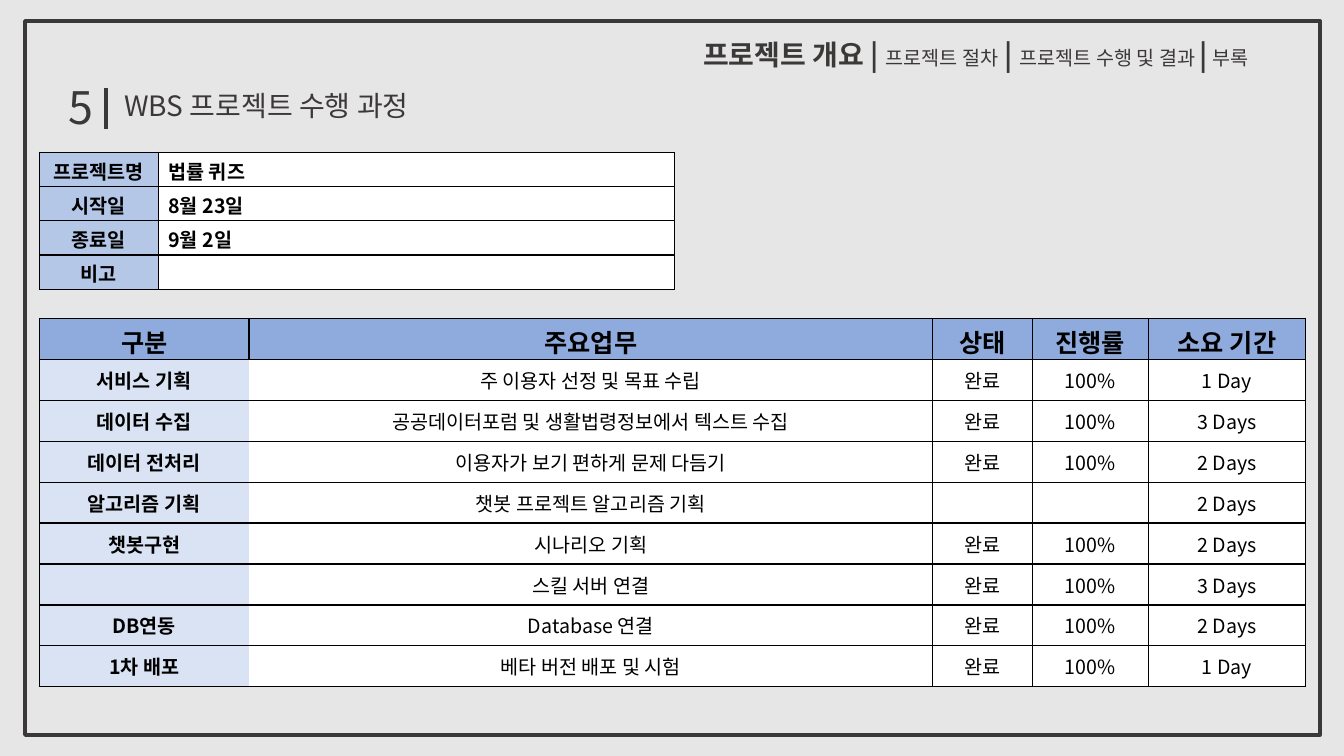
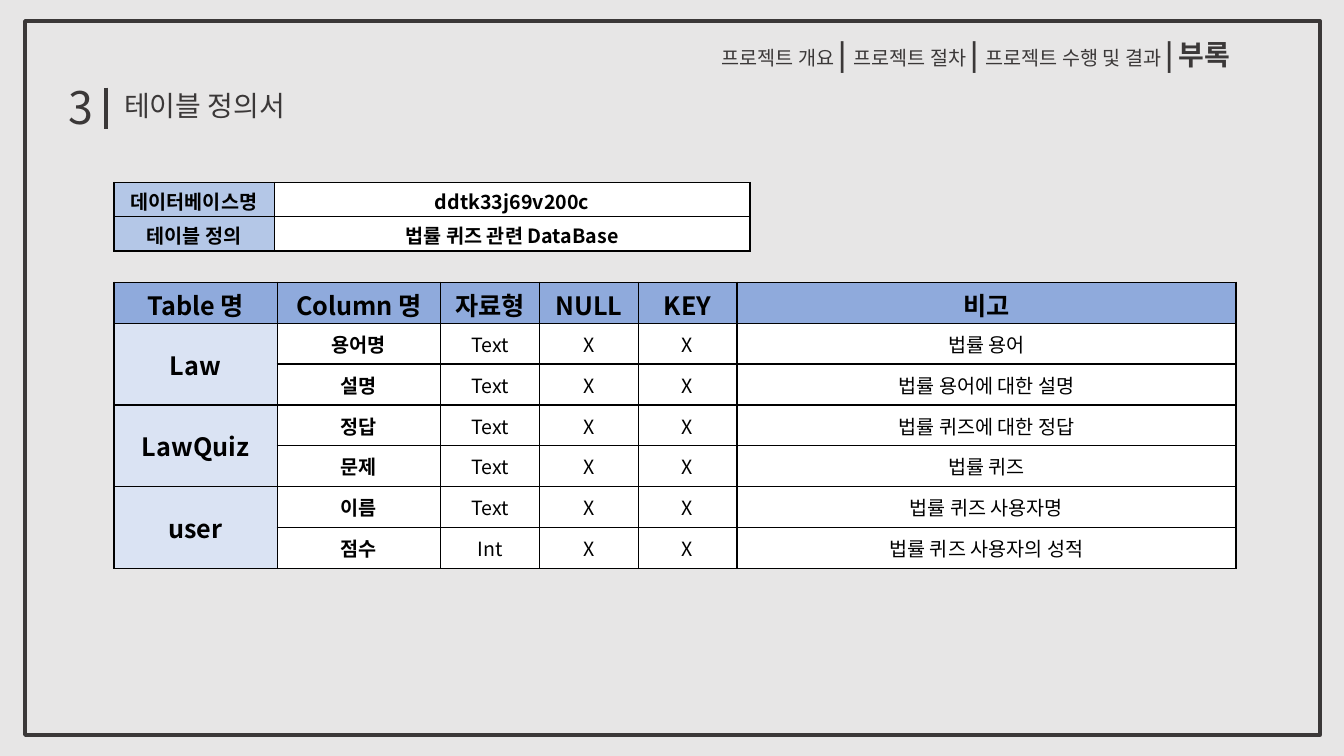
from lxml import etree
from pptx import Presentation
from pptx.dml.color import RGBColor
from pptx.enum.shapes import MSO_CONNECTOR, MSO_SHAPE
from pptx.enum.text import MSO_ANCHOR, MSO_AUTO_SIZE, PP_ALIGN
from pptx.oxml.ns import qn
from pptx.util import Inches, Pt

LEFT, CENTER = PP_ALIGN.LEFT, PP_ALIGN.CENTER
TOP, MIDDLE = MSO_ANCHOR.TOP, MSO_ANCHOR.MIDDLE
RECTANGLE, STRAIGHT = MSO_SHAPE.RECTANGLE, MSO_CONNECTOR.STRAIGHT
NO_AUTOFIT = MSO_AUTO_SIZE.NONE
TITLE_ONLY = 5

# Shared style
FONT = "Noto Sans CJK KR"
PAPER, INK, BLACK, WHITE = "E7E6E6", "3B3838", "000000", "FFFFFF"
HEADER_BLUE, LABEL_BLUE, GROUP_BLUE = "8FAADC", "B4C7E7", "DAE3F3"
LARGE, SMALL = 20, 14
INFO_ROW, WORK_ROW = 0.34, 0.406

# Content: navigation is (text, emphasised); None in a table joins the cell above
DONE = ("완료", "100%")
PAGES = [
    {
        "number": "5",
        "title": "WBS 프로젝트 수행 과정",
        "navigation": [
            ("프로젝트 개요 | ", True), ("프로젝트 절차", False), (" | ", True),
            ("프로젝트 수행 및 결과 ", False), ("|", True), (" 부록", False), (" ", True),
        ],
        "info": {
            "at": (0.39, 1.51), "columns": (1.18, 5.12), "value_align": LEFT,
            "rows": [("프로젝트명", "법률 퀴즈"), ("시작일", "8월 23일"),
                     ("종료일", "9월 2일"), ("비고", "")],
        },
        "main": {
            "at": (0.39, 3.16), "columns": (2.08, 6.78, 0.99, 1.15, 1.56),
            "bold_columns": 1, "group_size": SMALL, "open_group": True,
            "rows": [
                ("구분", "주요업무", "상태", "진행률", "소요 기간"),
                ("서비스 기획", "주 이용자 선정 및 목표 수립", *DONE, "1 Day"),
                ("데이터 수집", "공공데이터포럼 및 생활법령정보에서 텍스트 수집", *DONE, "3 Days"),
                ("데이터 전처리", "이용자가 보기 편하게 문제 다듬기", *DONE, "2 Days"),
                ("알고리즘 기획", "챗봇 프로젝트 알고리즘 기획", "", "", "2 Days"),
                ("챗봇구현", "시나리오 기획", *DONE, "2 Days"),
                ("", "스킬 서버 연결", *DONE, "3 Days"),
                ("DB연동", "Database 연결", *DONE, "2 Days"),
                ("1차 배포", "베타 버전 배포 및 시험", *DONE, "1 Day"),
            ],
        },
    },
    {
        "number": "3",
        "title": "테이블 정의서",
        "navigation": [
            ("프로젝트 개요 ", False), ("| ", True), ("프로젝트 절차 ", False), ("| ", True),
            ("프로젝트 수행 및 결과 ", False), ("|", True), (" ", False), ("부록 ", True),
        ],
        "info": {
            "at": (1.13, 1.81), "columns": (1.59, 4.72), "value_align": CENTER,
            "rows": [("데이터베이스명", "ddtk33j69v200c"),
                     ("테이블 정의", "법률 퀴즈 관련 DataBase")],
        },
        "main": {
            "at": (1.13, 2.8), "columns": (1.62, 1.62, 0.98, 0.98, 0.98, 4.95),
            "bold_columns": 2, "group_size": 18, "open_group": False,
            "rows": [
                ("Table 명", "Column 명", "자료형", "NULL", "KEY", "비고"),
                ("Law", "용어명", "Text", "X", "X", "법률 용어"),
                (None, "설명", "Text", "X", "X", "법률 용어에 대한 설명"),
                ("LawQuiz", "정답", "Text", "X", "X", "법률 퀴즈에 대한 정답"),
                (None, "문제", "Text", "X", "X", "법률 퀴즈"),
                ("user", "이름", "Text", "X", "X", "법률 퀴즈 사용자명"),
                (None, "점수", "Int", "X", "X", "법률 퀴즈 사용자의 성적"),
            ],
        },
    },
]


def rgb(value):
    return RGBColor.from_string(value)


# Text
def style(para, size, color=INK, bold=False, align=LEFT):
    para.alignment = align
    font = para.font
    font.size, font.bold, font.name = Pt(size), bold, FONT
    font.color.rgb = rgb(color)
    properties = para._p.get_or_add_pPr().find(qn("a:defRPr"))
    etree.SubElement(properties, qn("a:ea"), typeface=FONT)


def place(box, left, top, width, height):
    box.left, box.top = Inches(left), Inches(top)
    box.width, box.height = Inches(width), Inches(height)
    frame = box.text_frame
    frame.word_wrap, frame.auto_size = True, NO_AUTOFIT
    frame.vertical_anchor = MIDDLE
    return frame.paragraphs[0]


def add_text(page, *area):
    return place(page.shapes.add_textbox(0, 0, 0, 0), *area)


# Tables
def set_borders(cell, hidden=""):
    properties = cell._tc.get_or_add_tcPr()
    for side in "LRTB":
        line = etree.SubElement(properties, qn(f"a:ln{side}"), w=str(Pt(1)))
        if side in hidden:
            etree.SubElement(line, qn("a:noFill"))
        else:
            fill = etree.SubElement(line, qn("a:solidFill"))
            etree.SubElement(fill, qn("a:srgbClr"), val=BLACK)


def add_grid(page, data, row_height):
    rows, columns = data["rows"], data["columns"]
    left, top = data["at"]
    table = page.shapes.add_table(
        len(rows), len(columns), Inches(left), Inches(top),
        Inches(sum(columns)), Inches(row_height * len(rows))).table
    table.first_row = table.horz_banding = False
    for column, width in zip(table.columns, columns):
        column.width = Inches(width)
    for row in table.rows:
        row.height = Inches(row_height)
    return table


def fill_cell(cell, text, fill, size, bold, align=CENTER, anchor=MIDDLE, hidden=""):
    set_borders(cell, hidden)
    cell.fill.solid()
    cell.fill.fore_color.rgb = rgb(fill)
    cell.vertical_anchor = anchor
    cell.text = text or ""
    style(cell.text_frame.paragraphs[0], size, BLACK, bold, align)


def tighten(cell):
    cell.margin_top, cell.margin_bottom = Inches(0.04), 0


def add_info(page, data):
    table = add_grid(page, data, INFO_ROW)
    looks = ((LABEL_BLUE, CENTER), (WHITE, data["value_align"]))
    for r, row in enumerate(data["rows"]):
        for c, (text, (fill, align)) in enumerate(zip(row, looks)):
            cell = table.cell(r, c)
            fill_cell(cell, text, fill, SMALL, True, align, TOP)
            tighten(cell)


def add_main(page, data):
    table = add_grid(page, data, WORK_ROW)
    for r, row in enumerate(data["rows"]):
        for c, text in enumerate(row):
            cell = table.cell(r, c)
            if r == 0:
                fill_cell(cell, text, HEADER_BLUE, 18, True)
                tighten(cell)
                continue
            fill = GROUP_BLUE if c == 0 else WHITE
            size = data["group_size"] if c == 0 else SMALL
            hidden = {0: "R", 1: "L"}.get(c, "") if data["open_group"] else ""
            fill_cell(cell, text, fill, size, c < data["bold_columns"], hidden=hidden)
            if text is None:
                table.cell(r - 1, c).merge(cell)


# Page furniture
def add_frame(page):
    frame = page.shapes.add_shape(
        RECTANGLE, Inches(0.25), Inches(0.21), Inches(12.84), Inches(7.08))
    frame.shadow.inherit = False
    frame.fill.background()
    frame.line.color.rgb, frame.line.width = rgb(INK), Pt(3)


def add_heading(page, number, title):
    para = add_text(page, 0.58, 0.74, 0.56, 0.64)
    para.text = number
    style(para, 32)
    para = place(page.shapes.title, 1.13, 0.82, 4.76, 0.44)
    para.text = title
    style(para, LARGE)
    bar = page.shapes.add_connector(
        STRAIGHT, Inches(1.05), Inches(0.87), Inches(1.05), Inches(1.28))
    bar.line.color.rgb, bar.line.width = rgb(INK), Pt(3)
    etree.SubElement(bar._element.spPr, qn("a:effectLst"))


def add_navigation(page, items):
    para = add_text(page, 6.5, 0.32, 6.42, 0.44)
    style(para, SMALL, align=CENTER)
    for text, strong in items:
        span = para.add_run()
        span.text = text
        span.font.size, span.font.bold = Pt(LARGE if strong else SMALL), strong


def main():
    deck = Presentation()
    deck.slide_width, deck.slide_height = Inches(13.33), Inches(7.5)
    background = deck.slide_master.background.fill
    background.solid()
    background.fore_color.rgb = rgb(PAPER)
    for content in PAGES:
        page = deck.slides.add_slide(deck.slide_layouts[TITLE_ONLY])
        add_frame(page)
        add_navigation(page, content["navigation"])
        add_heading(page, content["number"], content["title"])
        add_info(page, content["info"])
        add_main(page, content["main"])
    deck.save("out.pptx")


if __name__ == "__main__":
    main()
